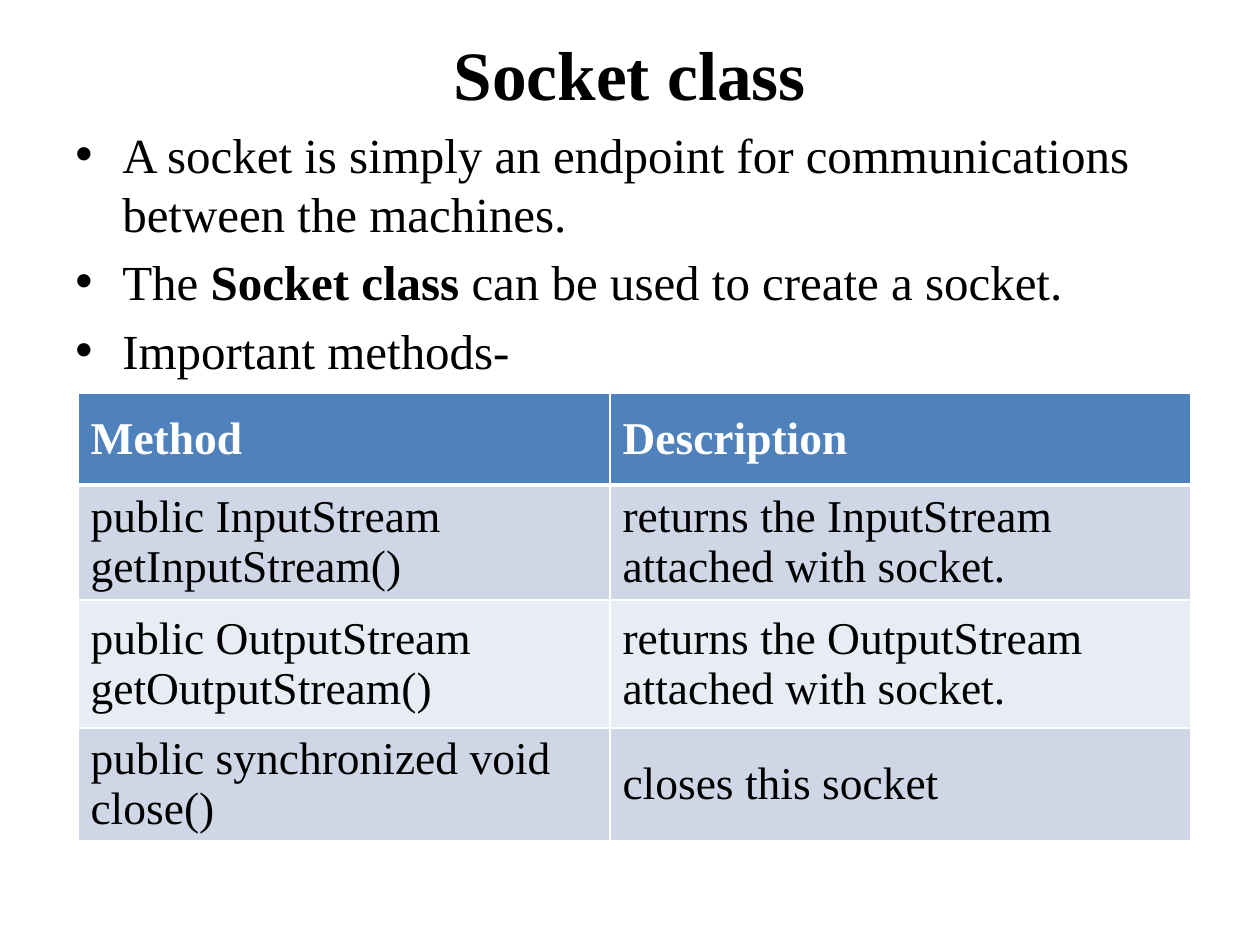
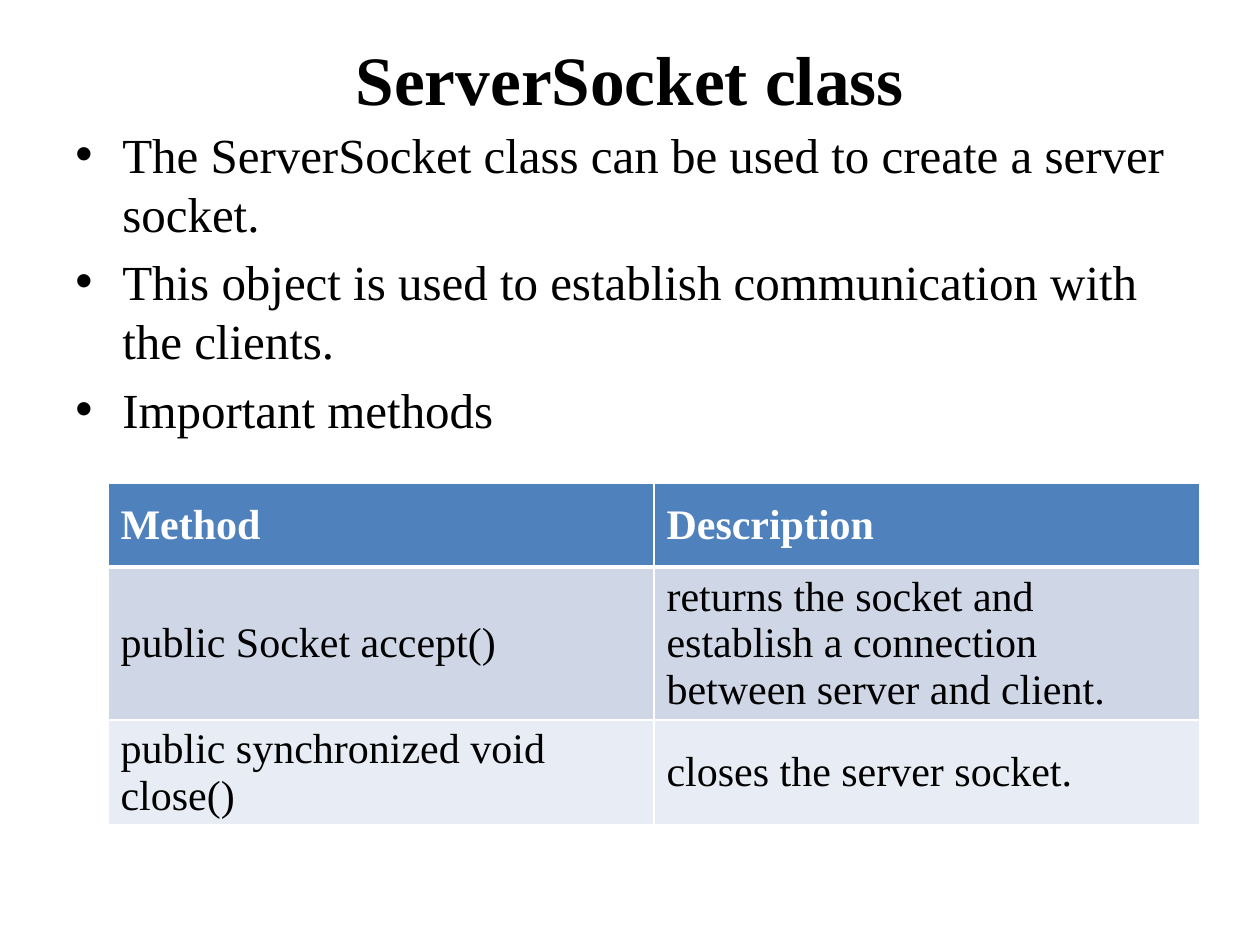
"""Build two slides on the socket classes and their methods."""
import lxml.etree
import pptx
import pptx.dml.color
import pptx.enum.text
import pptx.oxml.ns
import pptx.util

BLACK = pptx.dml.color.RGBColor(0, 0, 0)
WHITE = pptx.dml.color.RGBColor(255, 255, 255)
BLUE = pptx.dml.color.RGBColor(0x4F, 0x81, 0xBD)
BANDS = [pptx.dml.color.RGBColor(0xE8, 0xEC, 0xF4),
         pptx.dml.color.RGBColor(0xCF, 0xD7, 0xE7)]
FONT = "Times New Roman"
SCALE = 914400 / 126
MIDDLE = pptx.enum.text.MSO_ANCHOR.MIDDLE
HEAD = ("Method", "Description")

PAGES = [
    dict(
        title="Socket class", title_high=70, size=26,
        points=[["A socket is simply an endpoint for communications between the machines."],
                ["The ", "Socket class ", "can be used to create a socket."],
                ["Important methods-"]],
        left=78, top=393, cols=[532, 581], rows=[92, 115, 128, 113],
        cells=[HEAD,
               ("public InputStream getInputStream()",
                "returns the InputStream attached with socket."),
               ("public OutputStream getOutputStream()",
                "returns the OutputStream attached with socket."),
               ("public synchronized void close()", "closes this socket")]),
    dict(
        title="ServerSocket class", title_high=80, size=24,
        points=[["The ServerSocket class can be used to create a server socket."],
                ["This object is used to establish communication with the clients."],
                ["Important methods"]],
        left=108, top=483, cols=[546, 546], rows=[84, 152, 105],
        cells=[HEAD,
               ("public Socket accept()",
                "returns the socket and establish a connection between server and client."),
               ("public synchronized void close()", "closes the server socket.")]),
]


def px(*sizes):
    return [pptx.util.Emu(round(size * SCALE)) for size in sizes]


def style(run, size, color, bold=False):
    run.font.name = FONT
    run.font.size = pptx.util.Pt(size)
    run.font.color.rgb = color
    run.font.bold = bold


deck = pptx.Presentation()
deck.slide_width, deck.slide_height = px(1260, 945)

for page in PAGES:
    slide = deck.slides.add_slide(deck.slide_layouts[6])

    frame = slide.shapes.add_textbox(*px(63, 38, 1134, page["title_high"])).text_frame
    frame.word_wrap = True
    frame.vertical_anchor = MIDDLE
    frame.text = page["title"]
    frame.paragraphs[0].alignment = pptx.enum.text.PP_ALIGN.CENTER
    style(frame.paragraphs[0].runs[0], 39.6, BLACK, True)

    frame = slide.shapes.add_textbox(*px(63, 118, 1134, 770)).text_frame
    frame.word_wrap = True
    for place, parts in enumerate(page["points"]):
        para = frame.add_paragraph() if place else frame.paragraphs[0]
        para.space_before = pptx.util.Pt(5.6 if place else 0)
        props = para._p.get_or_add_pPr()
        dent = px(47)[0]
        props.set("marL", str(dent))
        props.set("indent", str(-dent))
        for tag, key, value in [("a:buFont", "typeface", "Arial"), ("a:buChar", "char", "•")]:
            lxml.etree.SubElement(props, pptx.oxml.ns.qn(tag)).set(key, value)
        for spot, part in enumerate(parts):
            run = para.add_run()
            run.text = part
            style(run, 28, BLACK, spot == 1)

    table = slide.shapes.add_table(
        len(page["rows"]), 2,
        *px(page["left"], page["top"], sum(page["cols"]), sum(page["rows"]))).table
    for col, width in zip(table.columns, px(*page["cols"])):
        col.width = width
    for place, (row, high) in enumerate(zip(table.rows, px(*page["rows"]))):
        row.height = high
        for cell, text in zip(row.cells, page["cells"][place]):
            cell.text = text
            cell.vertical_anchor = MIDDLE
            cell.margin_top, cell.margin_bottom = px(1, 1)
            style(cell.text_frame.paragraphs[0].runs[0], page["size"],
                  BLACK if place else WHITE, not place)
            cell.fill.solid()
            cell.fill.fore_color.rgb = BANDS[place % 2] if place else BLUE
            props = cell._tc.get_or_add_tcPr()
            for order, side in enumerate("LRTB"):
                thick = (place, side) in [(0, "B"), (1, "T")]
                line = lxml.etree.Element(pptx.oxml.ns.qn("a:ln" + side))
                line.set("w", str(pptx.util.Pt(3 if thick else 1)))
                fill = lxml.etree.SubElement(line, pptx.oxml.ns.qn("a:solidFill"))
                color = lxml.etree.SubElement(fill, pptx.oxml.ns.qn("a:srgbClr"))
                color.set("val", str(WHITE))
                props.insert(order, line)

deck.save("out.pptx")
